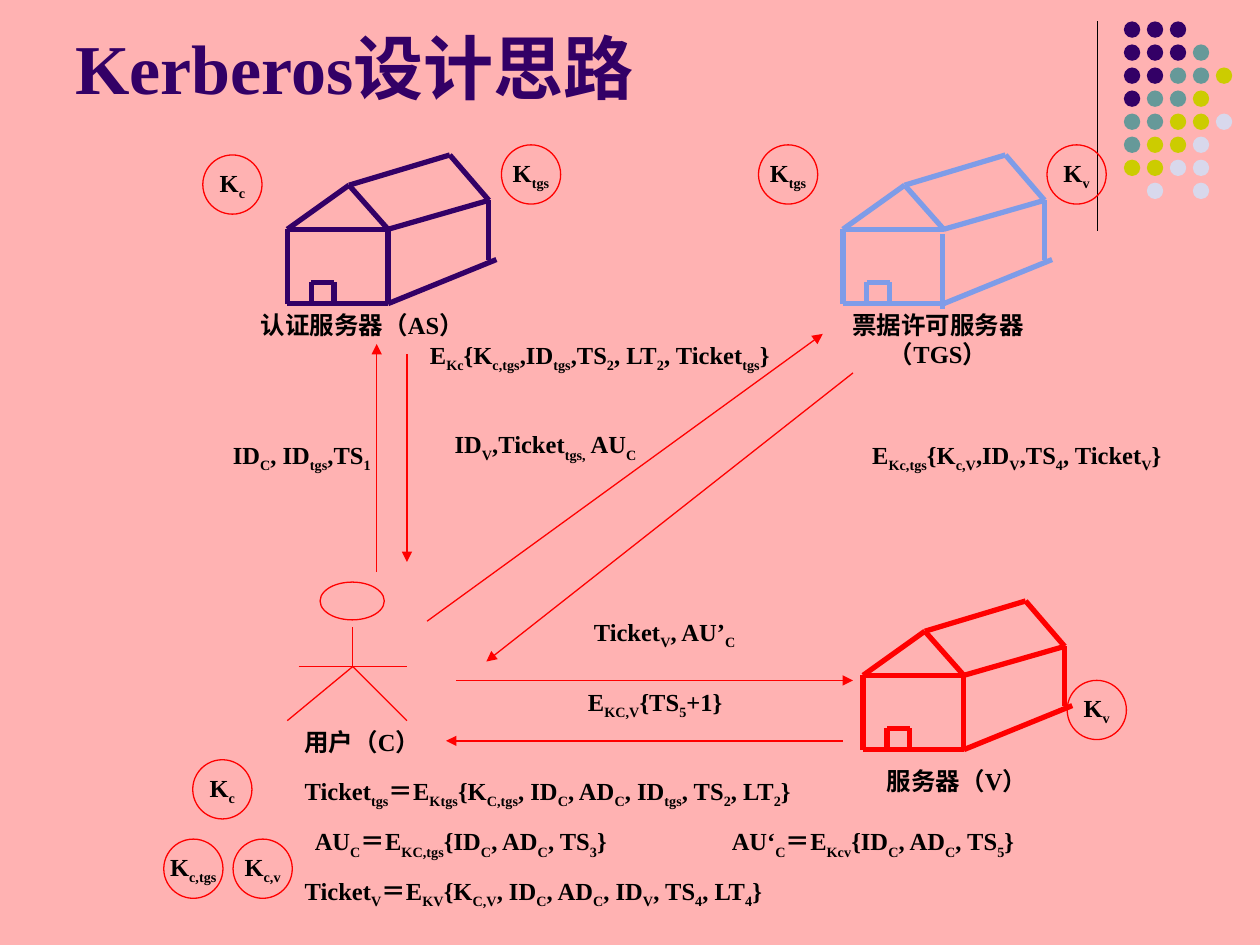
from lxml import etree
from pptx import Presentation
from pptx.dml.color import RGBColor
from pptx.enum.shapes import MSO_CONNECTOR, MSO_SHAPE
from pptx.enum.text import MSO_ANCHOR, MSO_AUTO_SIZE, PP_ALIGN
from pptx.oxml.ns import qn
from pptx.util import Inches, Pt

STRAIGHT = MSO_CONNECTOR.STRAIGHT
OVAL = MSO_SHAPE.OVAL
LEFT, CENTER = PP_ALIGN.LEFT, PP_ALIGN.CENTER
TOP, MIDDLE, BOTTOM = MSO_ANCHOR.TOP, MSO_ANCHOR.MIDDLE, MSO_ANCHOR.BOTTOM
GROW = MSO_AUTO_SIZE.SHAPE_TO_FIT_TEXT

FONT = "Times New Roman"
PINK = RGBColor(0xFF, 0xB2, 0xB2)
RED = RGBColor(0xFF, 0x00, 0x00)
BLACK = RGBColor(0x00, 0x00, 0x00)
PURPLE = RGBColor(0x33, 0x00, 0x66)
BLUE = RGBColor(0x7E, 0x9C, 0xE8)
TEAL = RGBColor(0x66, 0x99, 0x99)
OLIVE = RGBColor(0xCC, 0xCC, 0x00)
LILAC = RGBColor(0xD8, 0xD8, 0xEC)

DOTS = ["PPP", "PPPT", "PPTTY", "PTTY", "TTYYL", "TYYL", "YYLL", "-L-L"]
HUES = {"P": PURPLE, "T": TEAL, "Y": OLIVE, "L": LILAC}

WALLS = [
    (0.49, 0.24, 0, 0.59), (0.49, 0.24, 0.8, 0.59), (0, 0.59, 0.8, 0.59),
    (0.49, 0.24, 1.29, 0), (1.29, 0, 1.6, 0.36), (0.8, 0.59, 1.6, 0.36),
    (0, 0.59, 0, 1.18), (0, 1.18, 0.8, 1.18), (0.8, 1.18, 1.66, 0.83),
    (1.6, 0.36, 1.6, 0.83), (0.19, 1.01, 0.19, 1.18),
    (0.19, 1.01, 0.37, 1.01), (0.37, 1.01, 0.37, 1.18),
]
LIMBS = [
    (2.8, 4.98, 2.8, 5.29), (2.8, 5.29, 2.28, 5.72),
    (2.8, 5.29, 3.23, 5.72), (2.37, 5.29, 3.23, 5.29),
]
ARROWS = [
    (2.99, 4.54, 2.99, 2.73), (3.23, 2.81, 3.23, 4.46),
    (3.39, 4.93, 6.53, 2.65), (6.77, 2.96, 3.86, 5.25),
    (3.62, 5.4, 6.77, 5.4), (6.69, 5.88, 3.54, 5.88),
]
LABELS = [
    (6.46, 2.41, 1.97, "票据许可服务器（TGS）"),
    (6.61, 6.03, 1.97, "服务器（V）"),
    (1.89, 2.41, 1.97, "认证服务器（AS）"),
    (1.89, 5.72, 1.97, "用户（C）"),
    (1.57, 3.44, 1.65, "ID[C], ID[tgs],TS[1]"),
    (2.83, 2.65, 3.86, "E[Kc]{K[c,tgs],ID[tgs],TS[2], LT[2], Ticket[tgs]}"),
    (3.23, 3.36, 2.2, "ID[V],Ticket[tgs,] AU[C]"),
    (6.14, 3.44, 3.86, "E[Kc,tgs]{K[c,V],ID[V],TS[4], Ticket[V]}"),
    (3.78, 4.85, 2.99, "Ticket[V], AU’[C]"),
    (3.78, 5.4, 2.84, "E[KC,V]{TS[5]+1}"),
]
RULES = [
    (2.32, 6.11, 4.96,
     "Ticket[tgs]＝E[Ktgs]{K[C,tgs], ID[C], AD[C], ID[tgs], TS[2], LT[2]}"),
    (2.32, 6.9, 4.33,
     "Ticket[V]＝E[KV]{K[C,V], ID[C], AD[C], ID[V], TS[4], LT[4]}"),
    (2.4, 6.51, 3.07, "AU[C]＝E[KC,tgs]{ID[C], AD[C], TS[3]}"),
    (5.71, 6.51, 3.07, "AU‘[C]＝E[Kcv]{ID[C], AD[C], TS[5]}"),
]
KEYS = [
    (1.53, 6.03, "K[c]"), (1.61, 1.23, "K[c]"), (6.02, 1.15, "K[tgs]"),
    (8.47, 5.4, "K[v]"), (3.98, 1.15, "K[tgs]"), (8.31, 1.15, "K[v]"),
    (1.3, 6.66, "K[c,tgs]"), (1.85, 6.66, "K[c,v]"),
]


def add_line(shapes, ends, color=RED, width=0.75, arrow=False):
    """Draw a straight line, with an arrowhead at its end if asked."""
    line = shapes.add_connector(STRAIGHT, *[Inches(n) for n in ends])
    line.line.color.rgb = color
    line.line.width = Pt(width)
    if arrow:
        tail = etree.SubElement(line.line._get_or_add_ln(), qn("a:tailEnd"))
        tail.set("type", "triangle")
    etree.SubElement(line._element.spPr, qn("a:effectLst"))


def add_oval(shapes, left, top, width, height, fill=None):
    """Draw a filled dot, or a red ring when no fill is given."""
    oval = shapes.add_shape(
        OVAL, Inches(left), Inches(top), Inches(width), Inches(height))
    oval.shadow.inherit = False
    if fill is None:
        oval.fill.background()
        oval.line.color.rgb = RED
        oval.line.width = Pt(0.75)
    else:
        oval.fill.solid()
        oval.fill.fore_color.rgb = fill
        oval.line.fill.background()
    return oval


def write(frame, text, align, anchor=TOP, size=14, color=BLACK):
    """Write bold text in which square brackets mark subscripts."""
    frame.vertical_anchor = anchor
    para = frame.paragraphs[0]
    para.alignment = align
    for rank, part in enumerate(text.replace("]", "[").split("[")):
        if part:
            run = para.add_run()
            run.text = part
            run.font.name = FONT
            run.font.size = Pt(size)
            run.font.bold = True
            run.font.color.rgb = color
            if rank % 2:
                run._r.get_or_add_rPr().set("baseline", "-25000")


def add_text(shapes, left, top, width, text, align):
    """Add a wrapped label that grows with its text."""
    box = shapes.add_textbox(
        Inches(left), Inches(top), Inches(width), Inches(0.33))
    box.text_frame.word_wrap = True
    box.text_frame.auto_size = GROW
    write(box.text_frame, text, align)


def add_title(shapes, text):
    """Add the slide heading."""
    box = shapes.add_textbox(
        Inches(0.5), Inches(0.13), Inches(8.25), Inches(0.78))
    box.text_frame.word_wrap = True
    write(box.text_frame, text, LEFT, BOTTOM, 40, PURPLE)


def add_dots(shapes):
    """Draw the corner grid of coloured dots."""
    group = shapes.add_group_shape().shapes
    for row, marks in enumerate(DOTS):
        for col, mark in enumerate(marks):
            if mark in HUES:
                add_oval(group, 8.92 + col * 0.73 / 4, 0.17 + row * 1.28 / 7,
                         0.13, 0.13, HUES[mark])


def add_house(shapes, left, top, color, shift=(0, 0)):
    """Draw a house whose front post may be shifted."""
    group = shapes.add_group_shape().shapes
    across, down = shift
    post = (0.8 + across, 0.59 + down, 0.8 + across, 1.18 + down)
    for x1, y1, x2, y2 in WALLS + [post]:
        ends = (left + x1, top + y1, left + x2, top + y2)
        add_line(group, ends, color, 3)


def add_user(shapes):
    """Draw the stick figure of the user."""
    group = shapes.add_group_shape().shapes
    add_oval(group, 2.54, 4.62, 0.51, 0.3)
    for limb in LIMBS:
        add_line(group, limb)


def add_key(shapes, left, top, text):
    """Draw a ringed key name."""
    frame = add_oval(shapes, left, top, 0.47, 0.47).text_frame
    frame.word_wrap = False
    write(frame, text, CENTER, MIDDLE)


def main():
    """Build and save the slide."""
    deck = Presentation()
    deck.slide_width, deck.slide_height = Inches(10), Inches(7.5)
    slide = deck.slides.add_slide(deck.slide_layouts[6])
    slide.background.fill.solid()
    slide.background.fill.fore_color.rgb = PINK
    shapes = slide.shapes
    add_line(shapes, (8.71, 0.17, 8.71, 1.83), BLACK)
    add_dots(shapes)
    add_title(shapes, "Kerberos设计思路")
    add_house(shapes, 6.69, 1.23, BLUE, (-0.01, 0.04))
    add_house(shapes, 6.85, 4.77, RED)
    add_user(shapes)
    add_house(shapes, 2.28, 1.23, PURPLE)
    for ends in ARROWS:
        add_line(shapes, ends, arrow=True)
    for label in LABELS:
        add_text(shapes, *label, CENTER)
    for rule in RULES:
        add_text(shapes, *rule, LEFT)
    for key in KEYS:
        add_key(shapes, *key)
    deck.save("out.pptx")


if __name__ == "__main__":
    main()
